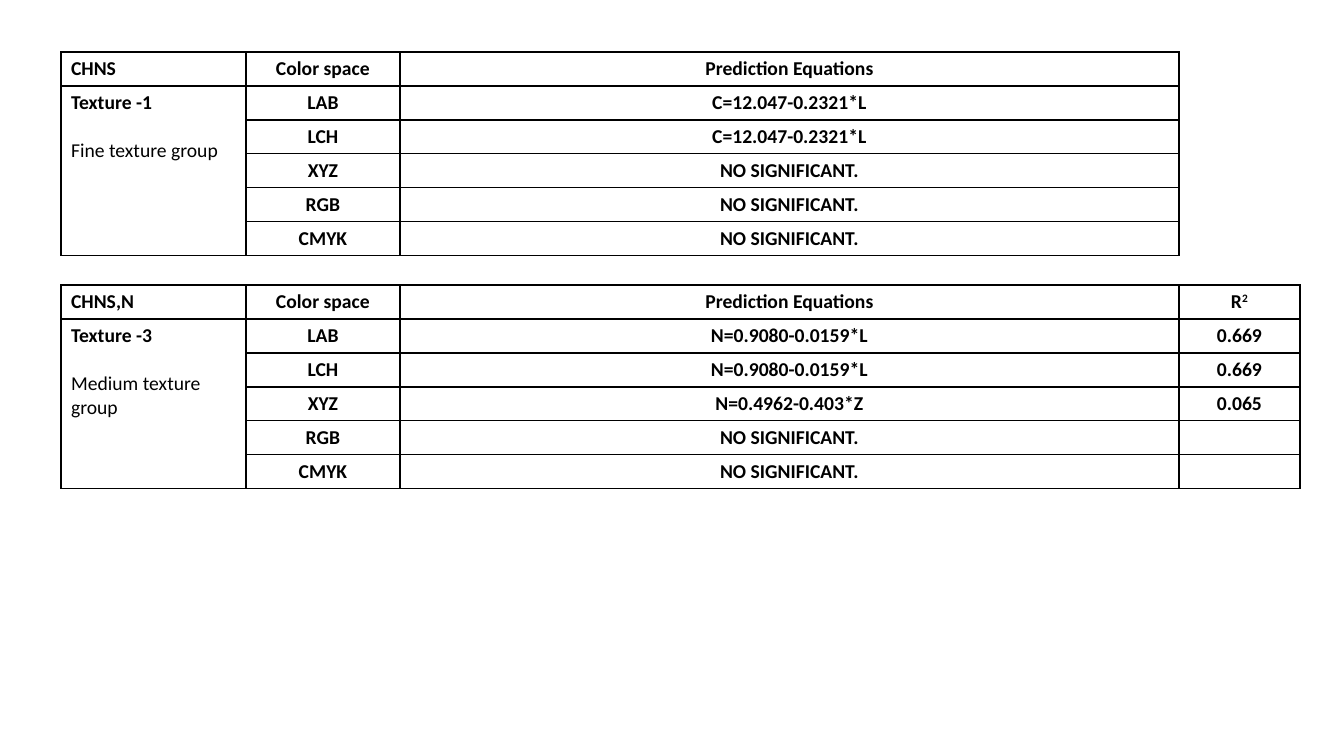
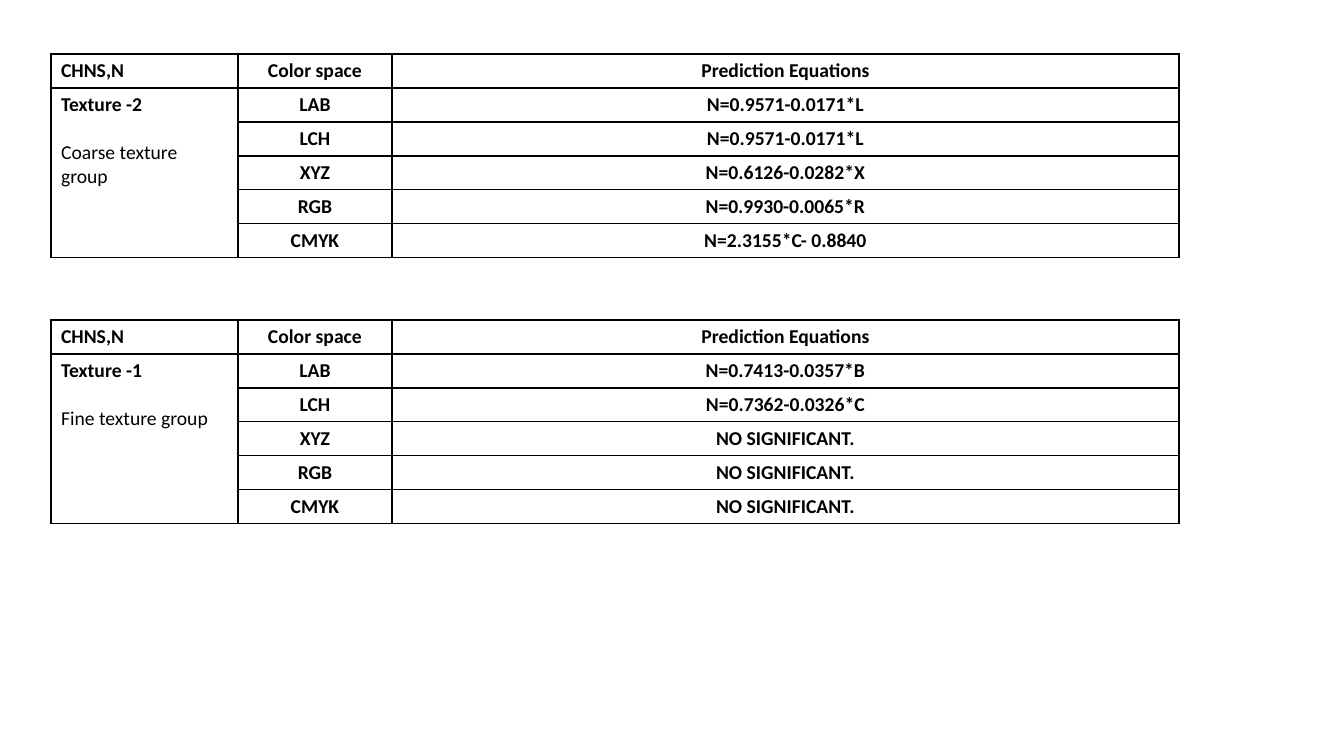
from dataclasses import dataclass

from lxml.etree import SubElement
from pptx import Presentation
from pptx.dml.color import RGBColor
from pptx.enum.text import PP_ALIGN
from pptx.oxml.ns import qn
from pptx.util import Pt


@dataclass(frozen=True)
class Theme:
    ink: str = "000000"
    font: str = "Calibri"
    text_size: int = 14
    group_gap: int = 17
    border_width: int = 1


theme = Theme()
EMU_PER_PX = 914400 / 100.8
TABLE_HEIGHT = 202
COLOR_SPACES = ["LAB", "LCH", "XYZ", "RGB", "CMYK"]
HEADINGS = ["Color space", "Prediction Equations", "R2"]
NOT_SIGNIFICANT = "NO SIGNIFICANT."


def px(length):
    return round(length * EMU_PER_PX)


def add_text(paragraph, text, bold=True, superscript=False):
    run = paragraph.add_run()
    run.text = text
    run.font.name = theme.font
    run.font.size = Pt(theme.text_size)
    run.font.bold = bold
    run.font.color.rgb = RGBColor.from_string(theme.ink)
    if superscript:
        run._r.get_or_add_rPr().set("baseline", "30000")


slides = [
    {
        "left": 61,
        "columns": [185, 154, 779, 121],
        "tables": [
            {
                "top": 285,
                "heading": "CHNS,N",
                "texture": "Texture -3",
                "group": "Medium texture group",
                "equations": ["N=0.9080-0.0159*L", "N=0.9080-0.0159*L", "N=0.4962-0.403*Z",
                              NOT_SIGNIFICANT, NOT_SIGNIFICANT],
                "r_squared": ["0.669", "0.669", "0.065", "", ""],
            },
            {
                "top": 52,
                "heading": "CHNS",
                "texture": "Texture -1",
                "group": "Fine texture group",
                "equations": ["C=12.047-0.2321*L", "C=12.047-0.2321*L",
                              NOT_SIGNIFICANT, NOT_SIGNIFICANT, NOT_SIGNIFICANT],
            },
        ],
    },
    {
        "left": 51,
        "columns": [187, 154, 787],
        "tables": [
            {
                "top": 54,
                "heading": "CHNS,N",
                "texture": "Texture -2",
                "group": "Coarse texture group",
                "equations": ["N=0.9571-0.0171*L", "N=0.9571-0.0171*L", "N=0.6126-0.0282*X",
                              "N=0.9930-0.0065*R", "N=2.3155*C- 0.8840"],
            },
            {
                "top": 320,
                "heading": "CHNS,N",
                "texture": "Texture -1",
                "group": "Fine texture group",
                "equations": ["N=0.7413-0.0357*B", "N=0.7362-0.0326*C",
                              NOT_SIGNIFICANT, NOT_SIGNIFICANT, NOT_SIGNIFICANT],
            },
        ],
    },
]

presentation = Presentation()
presentation.slide_width = px(1344)
presentation.slide_height = px(756)

for slide_content in slides:
    slide = presentation.slides.add_slide(presentation.slide_layouts[6])
    for content in slide_content["tables"]:
        value_columns = [COLOR_SPACES, content["equations"]]
        if "r_squared" in content:
            value_columns.append(content["r_squared"])
        widths = slide_content["columns"][:len(value_columns) + 1]
        rows = [[content["heading"], *HEADINGS[:len(value_columns)]]]
        rows += [["", *values] for values in zip(*value_columns)]
        rows[1][0] = content["texture"]

        table = slide.shapes.add_table(
            len(rows), len(widths), px(slide_content["left"]), px(content["top"]),
            px(sum(widths)), px(TABLE_HEIGHT)).table
        table.first_row = False
        table.horz_banding = False
        for column, width in zip(table.columns, widths):
            column.width = px(width)

        for row_index, row in enumerate(rows):
            for column_index, text in enumerate(row):
                cell = table.cell(row_index, column_index)
                cell_properties = cell._tc.get_or_add_tcPr()
                for side in ["a:lnL", "a:lnR", "a:lnT", "a:lnB"]:
                    border = SubElement(cell_properties, qn(side), w=str(Pt(theme.border_width)))
                    border_fill = SubElement(border, qn("a:solidFill"))
                    SubElement(border_fill, qn("a:srgbClr"), val=theme.ink)
                cell.fill.background()

                paragraph = cell.text_frame.paragraphs[0]
                if column_index > 0:
                    paragraph.alignment = PP_ALIGN.CENTER
                if text == "R2":
                    add_text(paragraph, "R")
                    add_text(paragraph, "2", superscript=True)
                elif text:
                    add_text(paragraph, text)
                else:
                    SubElement(paragraph._p, qn("a:endParaRPr"), sz=str(theme.text_size * 100))

        texture_cell = table.cell(1, 0)
        texture_cell.merge(table.cell(len(rows) - 1, 0))
        group_paragraph = texture_cell.text_frame.add_paragraph()
        group_paragraph.space_before = Pt(theme.group_gap)
        add_text(group_paragraph, content["group"], bold=False)

presentation.save("out.pptx")
